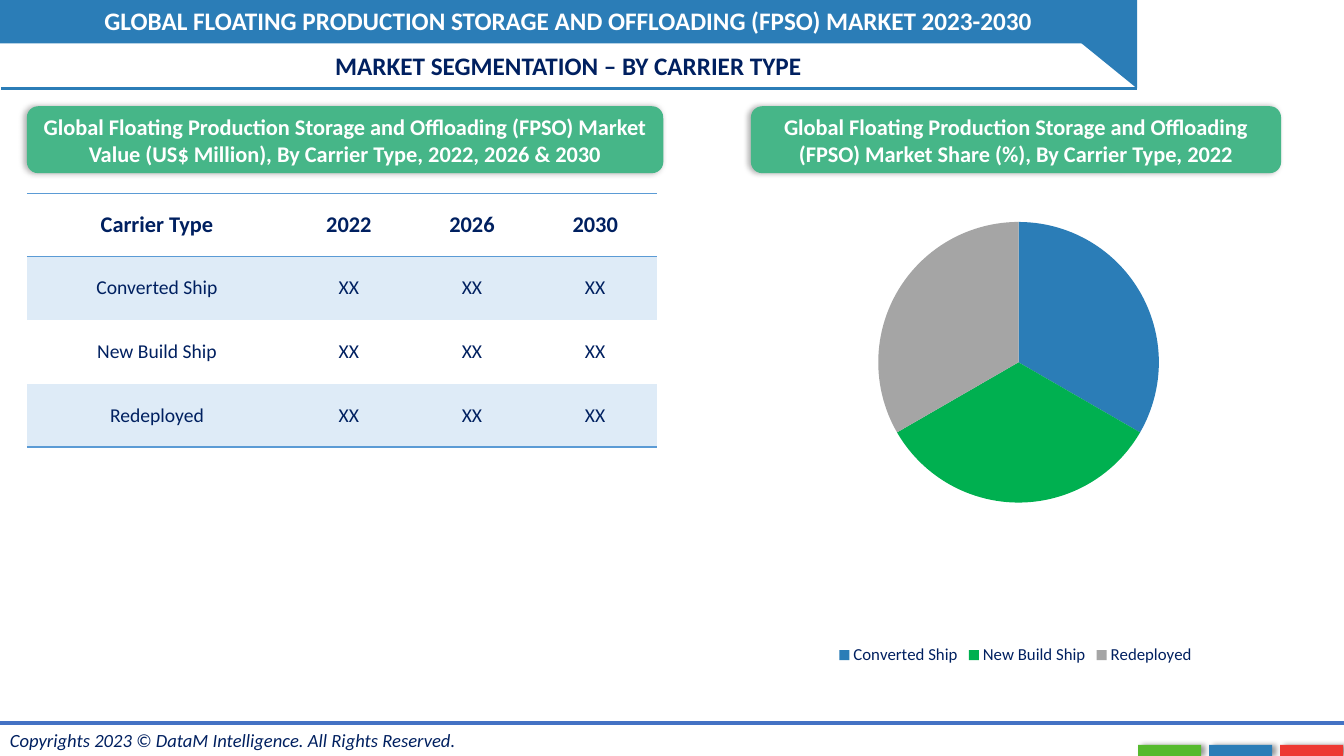
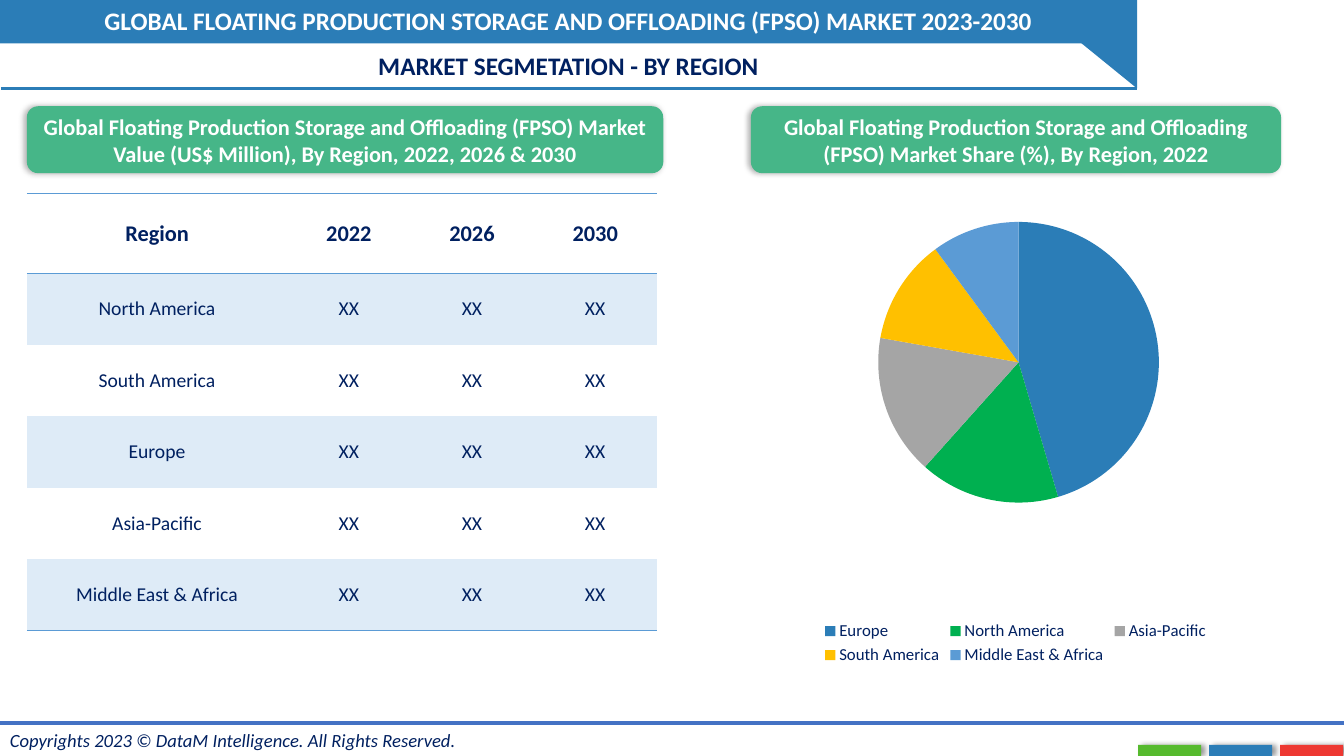
import pptx
import pptx.util
import pptx.chart.data
import pptx.dml.color
import pptx.enum.chart
import pptx.enum.shapes
import pptx.enum.text
import pptx.oxml
import pptx.oxml.ns

Pt = pptx.util.Pt
Kind = pptx.enum.shapes.MSO_SHAPE
Align = pptx.enum.text.PP_ALIGN
Anchor = pptx.enum.text.MSO_ANCHOR
NS = pptx.oxml.ns.nsdecls("a")

HUES = {
    "blue": "2B7DB7", "navy": "002060", "white": "FFFFFF", "mint": "46B688",
    "lime": "56BA2E", "red": "ED3832", "rule": "4472C4", "sky": "5B9BD5",
    "pale": "DEEBF7", "green": "00B050", "grey": "A5A5A5", "gold": "FFC000",
}
FONTS = {
    "title": {"size": Pt(18), "bold": True},
    "label": {"size": Pt(16), "bold": True},
    "cell": {"size": Pt(14), "bold": False},
    "foot": {"size": Pt(13.3), "italic": True},
    "chart": {"size": Pt(10)},
    "legend": {"size": Pt(12)},
}
PLAIN = "{2D5ABB26-0587-4C30-8999-92F81FD0307C}"
MARKET = "Global Floating Production Storage and Offloading (FPSO) Market"
YEARS = ["2022", "2026", "2030"]


def rgb(hue):
    return pptx.dml.color.RGBColor.from_string(HUES[hue])


def apply(target, values):
    for name, value in values.items():
        setattr(target, name, value)


class Deck:
    def __init__(self):
        self.file = pptx.Presentation()
        apply(self.file, {"slide_width": Pt(960), "slide_height": Pt(540)})
        self.slide = None

    def font(self, font, style, hue):
        apply(font, {"name": "Calibri", **FONTS[style]})
        font.color.rgb = rgb(hue)

    def words(self, frame, text, style, hue, align=Align.CENTER):
        para = frame.paragraphs[0]
        para.text = text
        para.alignment = align
        self.font(para.runs[0].font, style, hue)

    def shape(self, kind, box, hue):
        shape = self.slide.shapes.add_shape(kind, *map(Pt, box))
        shape.shadow.inherit = False
        shape.fill.solid()
        shape.fill.fore_color.rgb = rgb(hue)
        shape.line.fill.background()
        return shape

    def shade(self, shape, alpha, dist, angle):
        props = shape.element.spPr
        props.remove(props.find(pptx.oxml.ns.qn("a:effectLst")))
        props.append(pptx.oxml.parse_xml(
            f'<a:effectLst {NS}><a:outerShdw blurRad="{Pt(4)}" dist="{Pt(dist)}" '
            f'dir="{angle * 60000}" rotWithShape="0"><a:srgbClr val="000000">'
            f'<a:alpha val="{alpha * 1000}"/></a:srgbClr></a:outerShdw></a:effectLst>'))

    def text(self, box, text, style, hue, align=Align.CENTER):
        frame = self.slide.shapes.add_textbox(*map(Pt, box)).text_frame
        frame.word_wrap = True
        self.words(frame, text, style, hue, align)

    def line(self, left, right, top, hue, width):
        line = self.slide.shapes.add_connector(
            pptx.enum.shapes.MSO_CONNECTOR.STRAIGHT, *map(Pt, (left, top, right, top)))
        line.line.color.rgb = rgb(hue)
        line.line.width = Pt(width)
        line._element.spPr.append(pptx.oxml.parse_xml(f"<a:effectLst {NS}/>"))

    def label(self, left, width, text):
        shape = self.shape(Kind.ROUNDED_RECTANGLE, (left, 75.9, width, 47.8), "mint")
        self.shade(shape, 30, 2, 180)
        apply(shape.text_frame, {"word_wrap": True, "vertical_anchor": Anchor.MIDDLE})
        self.words(shape.text_frame, text, "label", "white")

    def edge(self, cell, sides):
        props = cell._tc.get_or_add_tcPr()
        for spot, side in enumerate(sides):
            props.insert(spot, pptx.oxml.parse_xml(
                f'<a:ln{side} {NS} w="{Pt(1)}"><a:solidFill>'
                f'<a:srgbClr val="{HUES["sky"]}"/></a:solidFill></a:ln{side}>'))

    def table(self, head, names, top, step):
        rows = [[head, *YEARS]] + [[name, "XX", "XX", "XX"] for name in names]
        size = Pt(450), Pt(top + step * len(names))
        table = self.slide.shapes.add_table(
            len(rows), 4, Pt(19.2), Pt(138.2), *size).table
        apply(table, {"first_row": False, "horz_banding": False})
        table._tbl.tblPr.find(pptx.oxml.ns.qn("a:tableStyleId")).text = PLAIN
        for col, width in zip(table.columns, (186, 88, 88, 88)):
            col.width = Pt(width)
        for r, row in enumerate(rows):
            table.rows[r].height = Pt(step if r else top)
            for c, text in enumerate(row):
                cell = table.cell(r, c)
                cell.vertical_anchor = Anchor.MIDDLE
                self.words(cell.text_frame, text, "cell" if r else "label", "navy")
                if r:
                    sides = ("left", "right", "top", "bottom")
                    apply(cell, {f"margin_{side}": 0 for side in sides})
                if r % 2:
                    cell.fill.solid()
                    cell.fill.fore_color.rgb = rgb("pale")
                else:
                    cell.fill.background()
                if r == 0:
                    self.edge(cell, "TB")
                elif r == len(names):
                    self.edge(cell, "B")

    def pie(self, shares):
        data = pptx.chart.data.CategoryChartData()
        data.categories = list(shares)
        data.add_series("Series 1", list(shares.values()))
        chart = self.slide.shapes.add_chart(
            pptx.enum.chart.XL_CHART_TYPE.PIE,
            *map(Pt, (508.3, 138.2, 434.2, 339.8)), data).chart
        apply(chart, {"has_title": False, "has_legend": True})
        self.font(chart.font, "chart", "navy")
        apply(chart.legend, {
            "position": pptx.enum.chart.XL_LEGEND_POSITION.BOTTOM,
            "include_in_layout": False})
        self.font(chart.legend.font, "legend", "navy")
        plot = chart.plots[0]
        plot.vary_by_categories = True
        for spot, hue in zip(range(len(shares)), ("blue", "green", "grey", "gold", "sky")):
            fill = plot.series[0].points[spot].format.fill
            fill.solid()
            fill.fore_color.rgb = rgb(hue)
        area = chart._chartSpace.chart.plotArea
        for old in area.findall(pptx.oxml.ns.qn("c:layout")):
            area.remove(old)
        spots = {"x": 0.05, "y": 0.06, "w": 0.91, "h": 0.59}
        modes = '<c:xMode val="edge"/><c:yMode val="edge"/>'
        sizes = "".join(f'<c:{key} val="{val}"/>' for key, val in spots.items())
        area.insert(0, pptx.oxml.parse_xml(
            f'<c:layout {pptx.oxml.ns.nsdecls("c")}><c:manualLayout>'
            f'<c:layoutTarget val="inner"/>{modes}{sizes}</c:manualLayout></c:layout>'))

    def frame(self, title):
        self.slide = self.file.slides.add_slide(self.file.slide_layouts[6])
        self.shape(Kind.RECTANGLE, (0, 0, 773, 31), "blue")
        for spot, hue in enumerate(("lime", "blue", "red")):
            tab = self.shape(Kind.RECTANGLE, (813 + 50.7 * spot, 532, 45, 8), hue)
            self.shade(tab, 40, 3, 0)
        fold = self.shape(Kind.RIGHT_TRIANGLE, (734.4, 0, 77.8, 63.2), "blue")
        for flip in ("flipH", "flipV"):
            fold.element.spPr.xfrm.set(flip, "1")
        self.text((0, 517, 360, 23.5),
                  "Copyrights 2023 © DataM Intelligence. All Rights Reserved.",
                  "foot", "navy", Align.LEFT)
        self.line(0.7, 812.2, 63.2, "blue", 1.5)
        self.line(0, 960, 516.6, "rule", 3)
        self.text((0, 0, 812, 29),
                  "GLOBAL FLOATING PRODUCTION STORAGE AND OFFLOADING (FPSO) MARKET 2023-2030",
                  "title", "white")
        self.text((0, 32.4, 812, 29), title, "title", "navy")

    def page(self, title, head, names, top, step, shares):
        self.frame(title)
        self.table(head, names, top, step)
        self.label(19.2, 454.6, f"{MARKET} Value (US$ Million), By {head}, 2022, 2026 & 2030")
        self.label(536.4, 378.7, f"{MARKET} Share (%), By {head}, 2022")
        self.pie(shares)


def main():
    deck = Deck()
    ships = ["Converted Ship", "New Build Ship", "Redeployed"]
    deck.page("MARKET SEGMENTATION – BY CARRIER TYPE", "Carrier Type",
              ships, 45, 45.4, dict.fromkeys(ships, 33))
    deck.page("MARKET SEGMETATION - BY REGION", "Region",
              ["North America", "South America", "Europe", "Asia-Pacific",
               "Middle East & Africa"], 57, 51.1,
              {"Europe": 45, "North America": 16, "Asia-Pacific": 16,
               "South America": 12, "Middle East & Africa": 10})
    deck.file.save("out.pptx")


if __name__ == "__main__":
    main()
